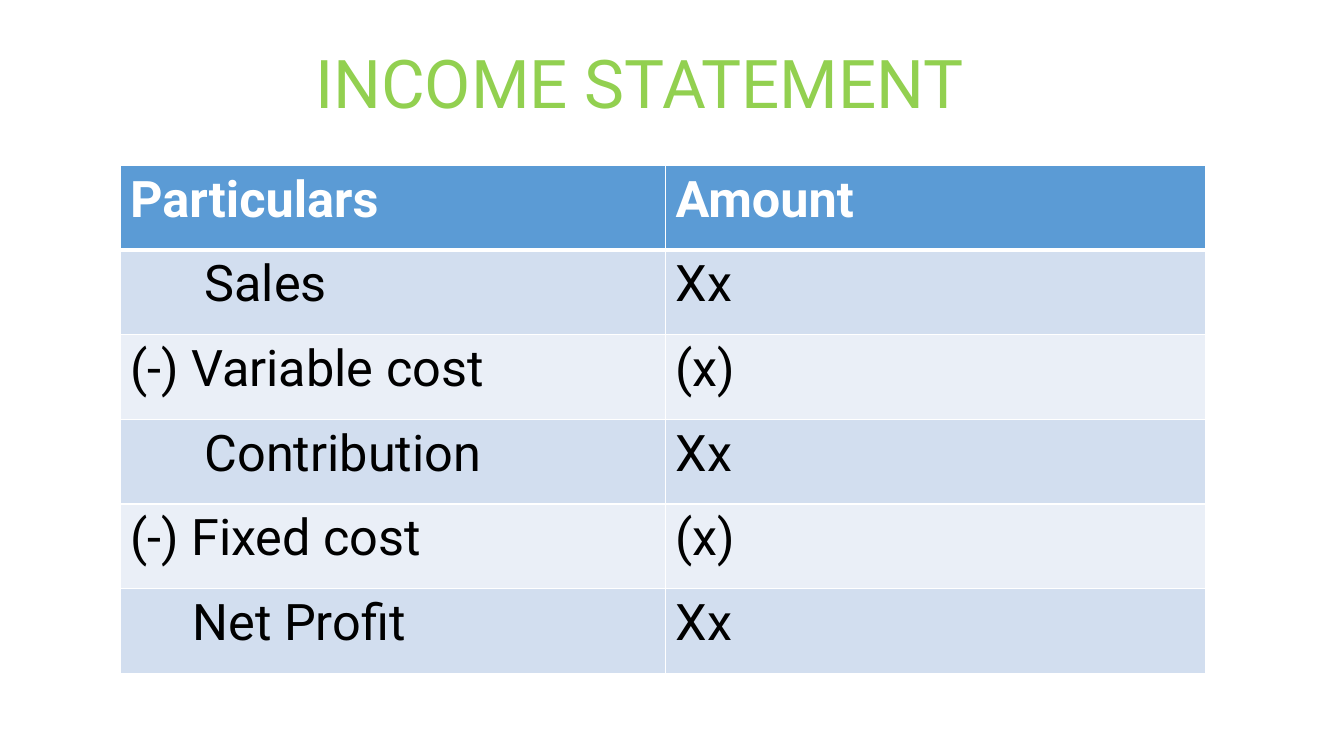
from lxml import etree
from pptx import Presentation
from pptx.dml.color import RGBColor
from pptx.enum.text import MSO_ANCHOR, MSO_AUTO_SIZE, PP_ALIGN
from pptx.oxml.ns import qn
from pptx.util import Inches, Pt

CENTER = PP_ALIGN.CENTER
MIDDLE = MSO_ANCHOR.MIDDLE
NO_AUTOFIT = MSO_AUTO_SIZE.NONE
TITLE_ONLY = 5

GREEN, BLUE, WHITE, BLACK = "92D050", "5B9BD5", "FFFFFF", "000000"
BANDS = ("D2DEEF", "EAEFF7")
CELL_MARGIN = 0.1

HEADINGS = ("Particulars", "Amount")
# Label, label indent in inches, amount
STATEMENT_LINES = [
    ("Sales", 0.74, "Xx"),
    ("(-) Variable cost", 0, "(x)"),
    ("Contribution", 0.74, "Xx"),
    ("(-) Fixed cost", 0, "(x)"),
    ("Net Profit", 0.62, "Xx"),
]


def rgb(value):
    return RGBColor.from_string(value)


class StatementPage:
    """Holds the slide and the font shared by its elements."""

    font_name = "Roboto"

    def __init__(self, deck):
        self.slide = deck.slides.add_slide(deck.slide_layouts[TITLE_ONLY])

    def set_text(self, frame, text, size, color, bold=False):
        frame.text = text
        font = frame.paragraphs[0].runs[0].font
        font.name, font.size, font.bold = self.font_name, Pt(size), bold
        font.color.rgb = rgb(color)

    def title(self, text, left, top, width, height):
        box = self.slide.shapes.title
        box.left, box.top = Inches(left), Inches(top)
        box.width, box.height = Inches(width), Inches(height)
        frame = box.text_frame
        frame.auto_size = NO_AUTOFIT
        frame.vertical_anchor = MIDDLE
        self.set_text(frame, text, 48, GREEN)
        frame.paragraphs[0].alignment = CENTER

    def table(self, left, top, column_widths, row_height, row_count):
        table = self.slide.shapes.add_table(
            row_count, len(column_widths), Inches(left), Inches(top),
            Inches(sum(column_widths)), Inches(row_height * row_count)).table
        for column, width in zip(table.columns, column_widths):
            column.width = Inches(width)
        for row in table.rows:
            row.height = Inches(row_height)
        return table

    def borders(self, cell, top, bottom):
        """Draw white cell edges; top and bottom are widths in points."""
        properties = cell._tc.get_or_add_tcPr()
        for edge, width in (("L", 1), ("R", 1), ("T", top), ("B", bottom)):
            line = etree.SubElement(properties, qn(f"a:ln{edge}"), w=str(Pt(width)))
            fill = etree.SubElement(line, qn("a:solidFill"))
            etree.SubElement(fill, qn("a:srgbClr"), val=WHITE)

    def cell(self, table, row, column, text, indent=0):
        cell = table.cell(row, column)
        header = row == 0
        self.borders(cell, 3 if row == 1 else 1, 3 if header else 1)
        cell.fill.solid()
        cell.fill.fore_color.rgb = rgb(BLUE if header else BANDS[(row - 1) % 2])
        cell.margin_left = Inches(CELL_MARGIN + indent)
        self.set_text(cell.text_frame, text, 36, WHITE if header else BLACK, header)


def main():
    deck = Presentation()
    deck.slide_width, deck.slide_height = Inches(13.33), Inches(7.5)
    page = StatementPage(deck)
    page.title("INCOME STATEMENT", 0.82, 0.36, 11.05, 0.91)

    table = page.table(1.19, 1.64, (5.41, 5.36), 0.84, len(STATEMENT_LINES) + 1)
    for column, heading in enumerate(HEADINGS):
        page.cell(table, 0, column, heading)
    for row, (label, indent, amount) in enumerate(STATEMENT_LINES, start=1):
        page.cell(table, row, 0, label, indent)
        page.cell(table, row, 1, amount)
    deck.save("out.pptx")


if __name__ == "__main__":
    main()
